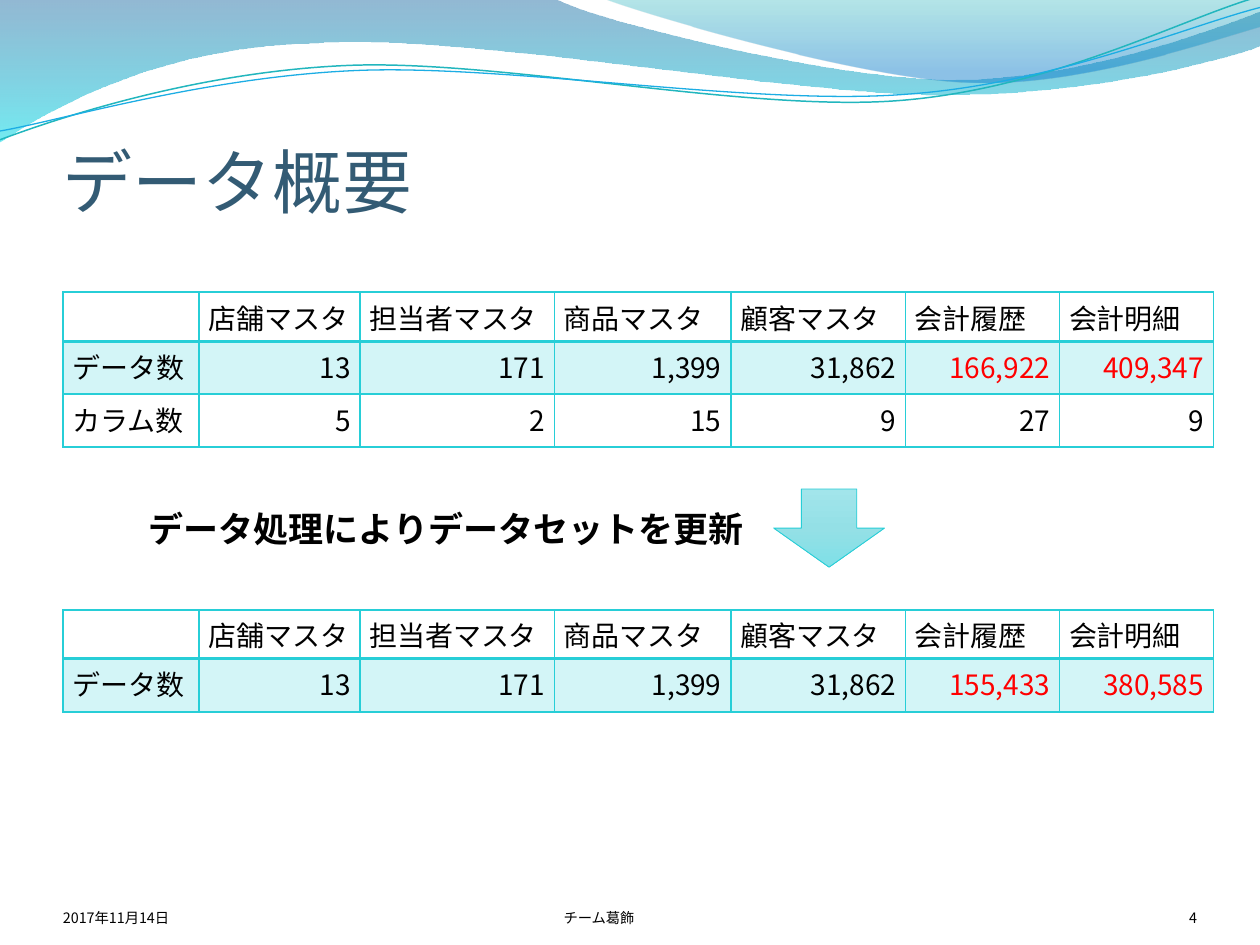
import math
from collections import namedtuple
from dataclasses import dataclass

from lxml import etree
from pptx import Presentation
from pptx.dml.color import RGBColor
from pptx.enum import shapes, text
from pptx.oxml import ns
from pptx.util import Emu, Inches, Pt

Box = namedtuple("Box", "x y w h")


@dataclass(frozen=True)
class Theme:
    font: str = "Noto Sans CJK JP"
    title: str = "335B74"
    ink: str = "000000"
    alert: str = "FF0000"
    accent: str = "27CED7"
    wave_lines: tuple = (("22B6BE", 0.85), ("1CADE4", 0.75))
    back_wave: tuple = ((0, "10639E", 45), (100, "00DBE7", 55))
    front_wave: tuple = ((0, "09AAB3", 30), (80, "0578CB", 45))
    arrow: tuple = ((0, "A2E5EB", 100), (50, "94E0E6", 100), (100, "7FE0E7", 100))
    title_size: float = 40
    caption_size: float = 20
    table_size: float = 16
    footer_size: float = 8.2


T = Theme()
LEFT, RIGHT = text.PP_ALIGN.LEFT, text.PP_ALIGN.RIGHT
CENTER = text.PP_ALIGN.CENTER
BOTTOM, MIDDLE = text.MSO_ANCHOR.BOTTOM, text.MSO_ANCHOR.MIDDLE

WAVE_GRID = (10, 1.14)
LINE_TURN = 357.3
BACK_WAVE = [
    [(0, 0)],
    [(4.4, -0.01)],
    [(4.75, 0.17), (6.63, 0.63), (7.58, 0.63)],
    [(8.53, 0.63), (9.58, 0.26), (10, 0.09)],
    [(10.01, 0.36)],
    [(9.83, 0.44), (8.69, 0.76), (7.46, 0.75)],
    [(6.22, 0.75), (3.81, 0.28), (2.57, 0.34)],
    [(1.29, 0.36), (0.46, 0.83), (-0.01, 1.13)],
    [(0, 0)],
]
FRONT_WAVE = [
    [(4.79, -0.01)],
    [(5.09, 0.11), (6.82, 0.62), (7.68, 0.65)],
    [(8.55, 0.69), (9.61, 0.32), (10, 0.21)],
    [(10, 0)],
    [(4.79, -0.01)],
]
WAVE_LINES = [
    ((4.99, 0.57), [
        [(0, 1.11)],
        [(0.48, 0.93), (1.57, 0.57), (2.76, 0.52)],
        [(3.95, 0.47), (5.92, 0.89), (7.12, 0.8)],
        [(8.33, 0.71), (9.38, 0.15), (9.97, -0.02)],
    ]),
    ((5, 0.59), [
        [(0, 1.04)],
        [(0.47, 0.96), (1.63, 0.61), (2.83, 0.56)],
        [(4.02, 0.51), (5.97, 0.84), (7.17, 0.75)],
        [(8.36, 0.67), (9.41, 0.21), (10, 0.06)],
    ]),
]

HEADER = ["", "店舗マスタ", "担当者マスタ", "商品マスタ", "顧客マスタ", "会計履歴", "会計明細"]
COUNTS = ["データ数", "13", "171", "1,399", "31,862"]
BEFORE = [HEADER, COUNTS + ["166,922", "409,347"],
          ["カラム数", "5", "2", "15", "9", "27", "9"]]
AFTER = [HEADER, COUNTS + ["155,433", "380,585"]]
COL_SHARES = [108, 127.8, 154.1, 140.2, 138.6, 122.3, 122]
HEADER_SHARE, BODY_SHARE = 13, 14


def rgb(color):
    return RGBColor.from_string(color)


def add_alpha(clr, percent):
    if percent < 100:
        etree.SubElement(clr, ns.qn("a:alpha"), val=str(percent * 1000))


def fill_gradient(sp, stops):
    sp.fill.gradient()
    sp.fill.gradient_angle = 270
    gs_lst = sp._element.spPr.find(".//" + ns.qn("a:gsLst"))
    gs_lst.clear()
    for pos, color, alpha in stops:
        gs = etree.SubElement(gs_lst, ns.qn("a:gs"), pos=str(pos * 1000))
        add_alpha(etree.SubElement(gs, ns.qn("a:srgbClr"), val=color), alpha)


def write(p, content, size, color, align=LEFT, bold=False):
    p.alignment = align
    r = p.add_run()
    r.text = content
    r.font.name, r.font.size, r.font.bold = T.font, Pt(size), bold
    r.font.color.rgb = rgb(color)
    etree.SubElement(r._r.get_or_add_rPr(), ns.qn("a:ea"), typeface=T.font)


def add_text(slide, box, content, size, color=T.ink, align=LEFT, anchor=BOTTOM,
             inset=(0, 0, 0, 0), bold=False, spacing=None):
    tf = slide.shapes.add_textbox(*box).text_frame
    tf.word_wrap, tf.vertical_anchor = True, anchor
    tf.margin_left, tf.margin_top, tf.margin_right, tf.margin_bottom = map(Inches, inset)
    p = tf.paragraphs[0]
    p.line_spacing = spacing
    write(p, content, size, color, align, bold)


def turn(point, center, degrees):
    a = math.radians(degrees)
    x, y = point[0] - center[0], point[1] - center[1]
    return (center[0] + x * math.cos(a) - y * math.sin(a),
            center[1] + x * math.sin(a) + y * math.cos(a))


def add_curve(slide, box, segments, close):
    pts = [(box.x + x * box.w / WAVE_GRID[0], box.y + y * box.h / WAVE_GRID[1])
           for seg in segments for x, y in seg]
    fb = slide.shapes.build_freeform(*pts[0])
    fb.add_line_segments(pts[1:], close=close)
    sp = fb.convert_to_shape()
    sp.shadow.inherit = False
    steps = iter(sp._element.findall(".//" + ns.qn("a:lnTo")))
    for seg in segments[1:]:
        group = [next(steps) for point in seg]
        if len(group) == 3:
            bez = etree.Element(ns.qn("a:cubicBezTo"))
            group[0].addprevious(bez)
            for step in group:
                bez.append(step[0])
                step.getparent().remove(step)
    return sp


def add_waves(slide, box):
    for segments, stops in ((BACK_WAVE, T.back_wave), (FRONT_WAVE, T.front_wave)):
        sp = add_curve(slide, box, segments, True)
        fill_gradient(sp, stops)
        sp.line.fill.background()
    for (center, segments), (color, width) in zip(WAVE_LINES, T.wave_lines):
        level = [[turn(pt, center, -LINE_TURN) for pt in seg] for seg in segments]
        sp = add_curve(slide, box, level, False)
        sp.rotation = LINE_TURN
        sp.fill.background()
        sp.line.color.rgb, sp.line.width = rgb(color), Pt(width)


def set_borders(cell, widths):
    tc_pr = cell._tc.get_or_add_tcPr()
    for i, (side, width) in enumerate(zip("LRTB", widths)):
        ln = etree.Element(ns.qn("a:ln" + side), w=str(Pt(width)))
        solid = etree.SubElement(ln, ns.qn("a:solidFill"))
        etree.SubElement(solid, ns.qn("a:srgbClr"), val=T.accent)
        tc_pr.insert(i, ln)


def add_data_table(slide, box, rows):
    table = slide.shapes.add_table(len(rows), len(HEADER), *box).table
    table.first_row = table.horz_banding = False
    for col, share in zip(table.columns, COL_SHARES):
        col.width = Emu(int(box.w * share / sum(COL_SHARES)))
    shares = [HEADER_SHARE] + [BODY_SHARE] * (len(rows) - 1)
    for row, share in zip(table.rows, shares):
        row.height = Emu(int(box.h * share / sum(shares)))
    for i, values in enumerate(rows):
        for j, value in enumerate(values):
            cell = table.cell(i, j)
            cell.margin_left = cell.margin_right = Pt(5.4)
            cell.margin_top = cell.margin_bottom = Pt(2.7)
            p = cell.text_frame.paragraphs[0]
            if value:
                color = T.alert if i == 1 and j >= 5 else T.ink
                write(p, value, T.table_size, color, RIGHT if i and j else LEFT)
            else:
                etree.SubElement(p._p, ns.qn("a:endParaRPr"), sz=str(T.table_size * 100))
            if i == 1:
                cell.fill.solid()
                cell.fill.fore_color.rgb = rgb(T.accent)
                add_alpha(cell._tc.tcPr.find(".//" + ns.qn("a:srgbClr")), 20)
            else:
                cell.fill.background()
            set_borders(cell, (1, 1, 2 if i == 1 else 1, 2 if i == 0 else 1))


def add_down_arrow(slide, box):
    sp = slide.shapes.add_shape(shapes.MSO_SHAPE.DOWN_ARROW, *box)
    sp.shadow.inherit = False
    fill_gradient(sp, T.arrow)
    sp.line.color.rgb, sp.line.width = rgb(T.accent), Pt(0.5)


def add_footer(slide, box):
    for start, share, content, align in ((5, 23.3, "2017年11月14日", LEFT),
                                         (29.2, 36.7, "チーム葛飾", CENTER),
                                         (86.7, 8.3, "4", RIGHT)):
        part = Box(int(box.x + start * box.w / 100), box.y, int(share * box.w / 100), box.h)
        add_text(slide, part, content, T.footer_size, align=align)


def main():
    prs = Presentation()
    prs.slide_width, prs.slide_height = Inches(10), Inches(7.5)
    slide = prs.slides.add_slide(prs.slide_layouts[6])

    def area(x, y, w, h):
        sw, sh = prs.slide_width / 100, prs.slide_height / 100
        return Box(Emu(int(x * sw)), Emu(int(y * sh)), Emu(int(w * sw)), Emu(int(h * sh)))

    add_waves(slide, area(0, 0, 100, 15.2))
    add_text(slide, area(5, 6.8, 90, 16.67), "データ概要", T.title_size, T.title,
             inset=(0, 0.05, 0, 0), spacing=0.8)
    add_footer(slide, area(0, 92.67, 100, 5.33))
    add_data_table(slide, area(5, 30.9, 91.3, 16.4), BEFORE)
    add_down_arrow(slide, area(61.4, 51.75, 8.8, 8.27))
    add_text(slide, area(10.8, 53.07, 90, 5.73), "データ処理によりデータセットを更新",
             T.caption_size, anchor=MIDDLE, inset=(0.1, 0.05, 0.1, 0.05), bold=True)
    add_data_table(slide, area(5, 64.53, 91.3, 10.8), AFTER)
    prs.save("out.pptx")


if __name__ == "__main__":
    main()
